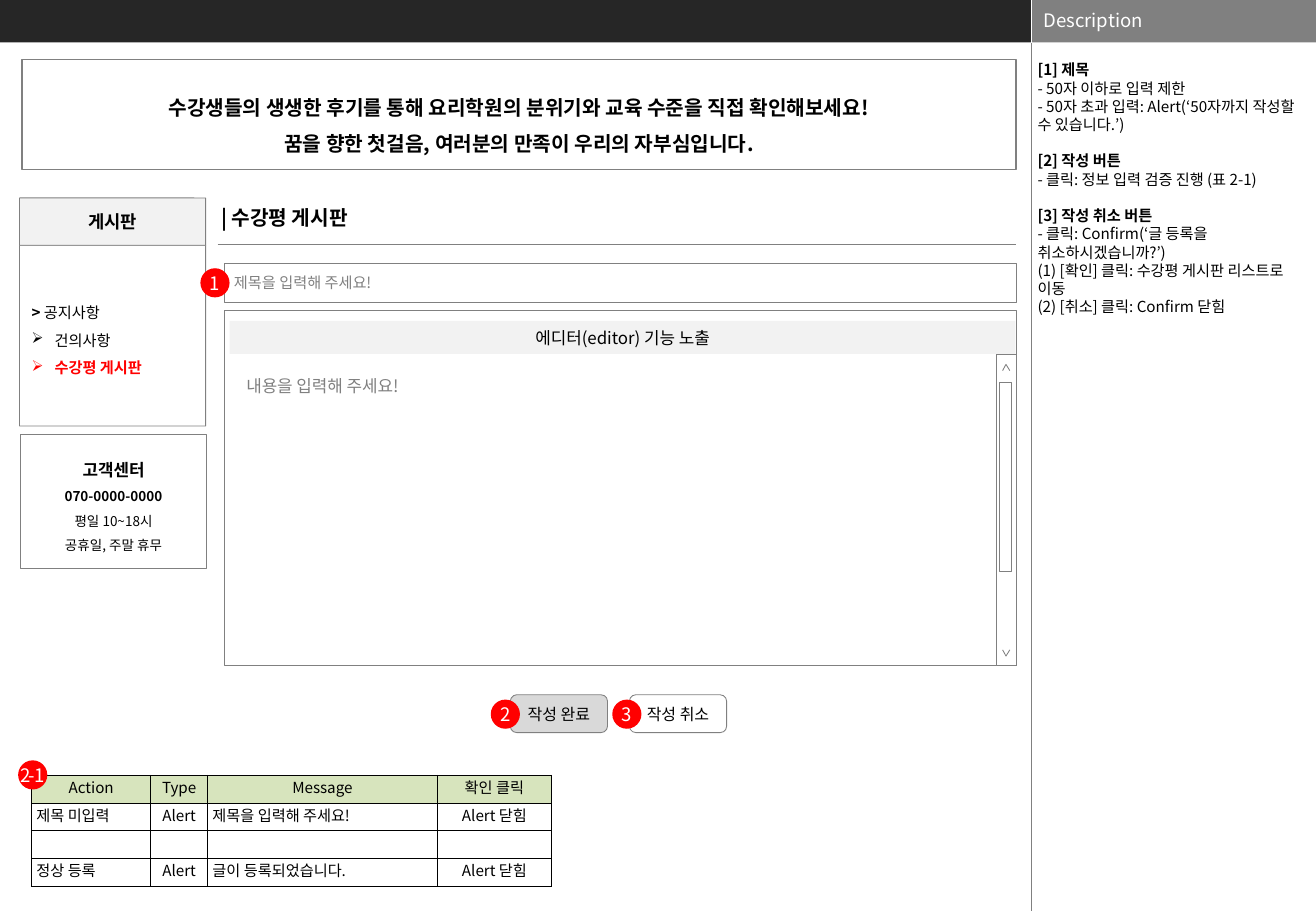
import lxml.etree
import pptx
import pptx.dml.color
import pptx.enum.shapes
import pptx.enum.text
import pptx.oxml.ns
import pptx.util

Cm, Pt = pptx.util.Cm, pptx.util.Pt
SHAPE = pptx.enum.shapes.MSO_SHAPE
ALIGN = pptx.enum.text.PP_ALIGN
ANCHOR = pptx.enum.text.MSO_ANCHOR

THEME = {
    "font": "Noto Sans CJK KR",
    "dark": "262626", "gray": "808080", "silver": "D9D9D9", "pale": "F2F2F2",
    "white": "FFFFFF", "black": "000000", "red": "FF0000", "green": "D7E4BD",
    "small": 8, "body": 9, "button": 9.5, "label": 10, "menu": 10.5, "badge": 11, "title": 12,
    "leading": 1.2, "hairline": 0.25, "thin": 0.5, "rule": 0.75,
}
BODY, LABEL, BADGE, TITLE = (THEME[k] for k in ("body", "label", "badge", "title"))
BOLD = {"bold": True}

# Content: a paragraph is a list of (text, format) runs
PAGE_TITLE = "| 수강평 게시판"
BANNER = ["수강생들의 생생한 후기를 통해 요리학원의 분위기와 교육 수준을 직접 확인해보세요!",
          "꿈을 향한 첫걸음, 여러분의 만족이 우리의 자부심입니다."]
NOTES = [
    ("[1] 제목", ["- 50자 이하로 입력 제한",
                "- 50자 초과 입력: Alert(‘50자까지 작성할 수 있습니다.’)"]),
    ("[2] 작성 버튼", ["- 클릭: 정보 입력 검증 진행 (표 2-1)"]),
    ("[3] 작성 취소 버튼", ["- 클릭: Confirm(‘글 등록을 취소하시겠습니까?’)",
                       "(1) [확인] 클릭: 수강평 게시판 리스트로 이동",
                       "(2) [취소] 클릭: Confirm 닫힘"]),
]
MENU = [[("> ", BOLD), ("공지사항", {})], [("건의사항", {})],
        [("수강평 게시판", {"bold": True, "color": "red"})]]
CONTACT = [[("고객센터", {"bold": True, "size": LABEL})], [("070-0000-0000", BOLD)],
           [("평일 10~18시", {})], [("공휴일, 주말 휴무", {})]]
BUTTONS = [("작성 완료", "silver"), ("작성 취소", None)]
ALERTS = [("Action", "Type", "Message", "확인 클릭"),
          ("제목 미입력", "Alert", "제목을 입력해 주세요!", "Alert 닫힘"),
          ("", "", "", ""),
          ("정상 등록", "Alert", "글이 등록되었습니다.", "Alert 닫힘")]
ALERT_WIDTHS, ALERT_ROW = (2.49, 1.19, 4.8, 2.39), 0.58
BADGES = [([("1", {})], 4.19, 5.61), ([("2", {})], 10.26, 14.63), ([("3", {})], 12.8, 14.63),
          ([("2-", {"spacing": -150}), ("1", {})], 0.38, 15.9)]

# Page geometry in cm
WIDTH, HEIGHT, SPLIT, BAR = 27.51, 19.05, 21.56, 0.89
FIELD_X, FIELD_W, SIDE_X, SIDE_W = 4.7, 16.54, 0.41, 3.89

deck = pptx.Presentation()
deck.slide_width, deck.slide_height = Cm(WIDTH), Cm(HEIGHT)
slide = deck.slides.add_slide(deck.slide_layouts[5])


def rgb(name):
    return pptx.dml.color.RGBColor.from_string(THEME[name])


def sub(parent, tag, **attributes):
    return lxml.etree.SubElement(parent, pptx.oxml.ns.qn(tag), **attributes)


def apply(target, values):
    for name, value in values.items():
        setattr(target, name, value)


def plain(lines, **style):
    return [[(line, style)] for line in lines]


def write(frame, paragraphs, size=BODY, color="black", align=ALIGN.LEFT, leading=1,
          anchor=ANCHOR.MIDDLE, inset=(0.1, 0.1), wrap=True):
    side, top = (Cm(v) for v in inset)
    apply(frame, {"word_wrap": wrap, "vertical_anchor": anchor, "margin_left": side,
                  "margin_right": side, "margin_top": top, "margin_bottom": top})
    for index, runs in enumerate(paragraphs):
        paragraph = frame.paragraphs[0] if index == 0 else frame.add_paragraph()
        tallest = max(style.get("size", size) for _, style in runs)
        apply(paragraph, {"alignment": align,
                          "line_spacing": Pt(tallest * THEME["leading"] * leading)})
        for text, style in runs:
            if not text:
                sub(paragraph._p, "a:endParaRPr", sz=str(int(size * 100)))
                continue
            run = paragraph.add_run()
            run.text = text
            apply(run.font, {"name": THEME["font"], "size": Pt(style.get("size", size)),
                             "bold": style.get("bold", False)})
            run.font.color.rgb = rgb(style.get("color", color))
            properties = run.font._element
            sub(properties, "a:ea", typeface=THEME["font"])
            if "spacing" in style:
                properties.set("spc", str(style["spacing"]))


def paint(shape, fill=None, line=None, weight=THEME["thin"]):
    shape.shadow.inherit = False
    if fill:
        shape.fill.solid()
        shape.fill.fore_color.rgb = rgb(fill)
    else:
        shape.fill.background()
    if line:
        shape.line.color.rgb = rgb(line)
        shape.line.width = Pt(weight)
    else:
        shape.line.fill.background()
    return shape


def box(x, y, w, h, fill=None, line="gray", kind=SHAPE.RECTANGLE, **style):
    shape = slide.shapes.add_shape(kind, Cm(x), Cm(y), Cm(w), Cm(h))
    return paint(shape, fill, line, **style)


def label(x, y, w, h, paragraphs, **style):
    frame = slide.shapes.add_textbox(Cm(x), Cm(y), Cm(w), Cm(h)).text_frame
    write(frame, paragraphs, **style)
    return frame


def rule(x1, y1, x2, y2, color, weight):
    line = slide.shapes.add_connector(pptx.enum.shapes.MSO_CONNECTOR.STRAIGHT,
                                      Cm(x1), Cm(y1), Cm(x2), Cm(y2))
    line.line.color.rgb, line.line.width = rgb(color), Pt(weight)
    sub(line._element.spPr, "a:effectLst")


# Header bars and description column
box(0, 0, SPLIT, BAR, "dark", None)
box(SPLIT, 0, WIDTH - SPLIT, BAR, "gray", None)
rule(SPLIT, 0, SPLIT, BAR, "white", THEME["hairline"])
rule(SPLIT, BAR, SPLIT, HEIGHT, "gray", THEME["hairline"])
label(SPLIT, 0, WIDTH - SPLIT, 0.86, plain(["Description"]), size=BADGE, color="white",
      inset=(0.25, 0.13))
note_lines = [run for heading, lines in NOTES
              for run in plain([heading], bold=True) + plain(lines)]
notes = label(21.59, BAR, WIDTH - 21.59, HEIGHT - BAR, note_lines, anchor=ANCHOR.TOP,
              inset=(0.1, 0.38))
headings = [heading for heading, _ in NOTES]
for paragraph in notes.paragraphs:
    if paragraph.text in headings[1:]:
        paragraph.space_before = Pt(BODY * THEME["leading"])

# Banner
box(0.46, 1.24, 20.78, 2.31, weight=THEME["rule"])
label(1.35, 1.6, 19, 1.7, plain(BANNER, bold=True), size=TITLE, align=ALIGN.CENTER,
      leading=1.5, anchor=ANCHOR.TOP, inset=(0.25, 0.13))

# Page title
heading = slide.shapes.title
apply(heading, {"left": Cm(4.37), "top": Cm(4.17), "width": Cm(3.99), "height": Cm(0.76)})
heading.text_frame.auto_size = pptx.enum.text.MSO_AUTO_SIZE.NONE
write(heading.text_frame, plain([PAGE_TITLE], bold=True), size=TITLE, anchor=ANCHOR.TOP,
      inset=(0.25, 0.13))
rule(4.55, 5.11, 21.23, 5.11, "gray", THEME["rule"])

# Input field and editor
field = box(FIELD_X, 5.51, FIELD_W, 0.81)
write(field.text_frame, plain(["제목을 입력해 주세요!"]), color="gray", inset=(0.19, 0.1), wrap=False)
box(FIELD_X, 6.5, FIELD_W, 7.42)
toolbar = box(4.8, 6.71, 16.43, 0.69, "pale", None)
write(toolbar.text_frame, plain(["에디터(editor) 기능 노출"]), size=LABEL, align=ALIGN.CENTER, wrap=False)
label(4.9, 7.72, 4.06, 0.69, plain(["내용을 입력해 주세요!"]), size=LABEL, color="gray",
      anchor=ANCHOR.TOP, inset=(0.25, 0.13), wrap=False)

# Scroll bar
box(20.83, 7.42, 0.41, 6.5, "white")
box(20.9, 8, 0.25, 3.96, "white")
for base, tip in ((7.75, 7.62), (13.59, 13.72)):
    arrow = slide.shapes.build_freeform(Cm(20.96), Cm(base))
    arrow.add_line_segments([(Cm(21.03), Cm(tip)), (Cm(21.11), Cm(base))], close=False)
    paint(arrow.convert_to_shape(), "white", "gray")

# Side menu and contact card
menu = box(SIDE_X, 5.13, SIDE_W, 3.78, kind=SHAPE.ROUNDED_RECTANGLE)
menu_head = box(SIDE_X, 4.14, SIDE_W, 0.99, "pale", kind=SHAPE.ROUNDED_RECTANGLE)
for panel in (menu, menu_head):
    panel.adjustments[0] = 0.001
write(menu.text_frame, MENU, leading=1.5, inset=(0.25, 0.13))
for entry in menu.text_frame.paragraphs[1:]:
    properties = entry._p.get_or_add_pPr()
    properties.set("marL", str(Cm(0.48)))
    properties.set("indent", str(-Cm(0.48)))
    sub(properties, "a:buChar", char="➢")
write(menu_head.text_frame, plain(["게시판"], bold=True), size=THEME["menu"], align=ALIGN.CENTER)
contact = box(0.43, 9.09, SIDE_W, 2.79)
write(contact.text_frame, CONTACT, size=THEME["small"], align=ALIGN.CENTER, leading=1.5, wrap=False)

# Buttons
for index, (caption, fill) in enumerate(BUTTONS):
    button = box(10.67 + index * 2.49, 14.53, 2.03, 0.79, fill, kind=SHAPE.ROUNDED_RECTANGLE)
    write(button.text_frame, plain([caption]), size=THEME["button"], align=ALIGN.CENTER, inset=(0.13, 0.13))

# Alert table
alerts = slide.shapes.add_table(len(ALERTS), len(ALERT_WIDTHS), Cm(0.66), Cm(16.21),
                                Cm(sum(ALERT_WIDTHS)), Cm(ALERT_ROW * len(ALERTS))).table
apply(alerts, {"first_row": False, "horz_banding": False})
for column, width in zip(alerts.columns, ALERT_WIDTHS):
    column.width = Cm(width)
for r, row in enumerate(ALERTS):
    alerts.rows[r].height = Cm(ALERT_ROW)
    for c, text in enumerate(row):
        cell = alerts.cell(r, c)
        centred = r == 0 or c in (1, 3)
        write(cell.text_frame, plain([text]), align=ALIGN.CENTER if centred else ALIGN.LEFT)
        apply(cell, {"vertical_anchor": ANCHOR.MIDDLE, "margin_left": Cm(0.1),
                     "margin_right": Cm(0.1), "margin_top": 0, "margin_bottom": 0})
        properties = cell._tc.get_or_add_tcPr()
        for side in ("a:lnL", "a:lnR", "a:lnT", "a:lnB"):
            border = sub(properties, side, w=str(Pt(THEME["thin"])))
            sub(sub(border, "a:solidFill"), "a:srgbClr", val=THEME["black"])
        if r == 0:
            cell.fill.solid()
            cell.fill.fore_color.rgb = rgb("green")
        else:
            cell.fill.background()

# Numbered badges
for runs, x, y in BADGES:
    badge = box(x, y, 0.61, 0.61, "red", None, SHAPE.OVAL)
    write(badge.text_frame, [runs], size=BADGE, color="white", align=ALIGN.CENTER, inset=(0, 0), wrap=False)

deck.save("out.pptx")
